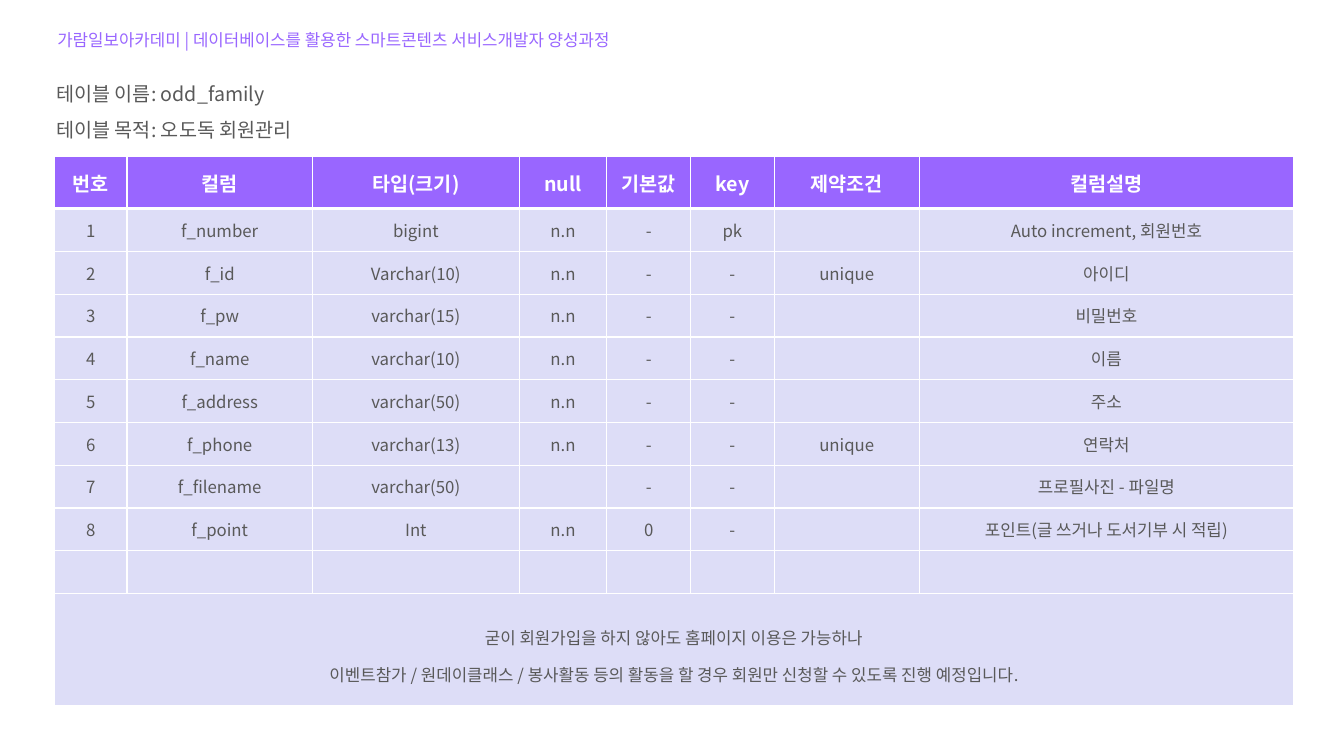
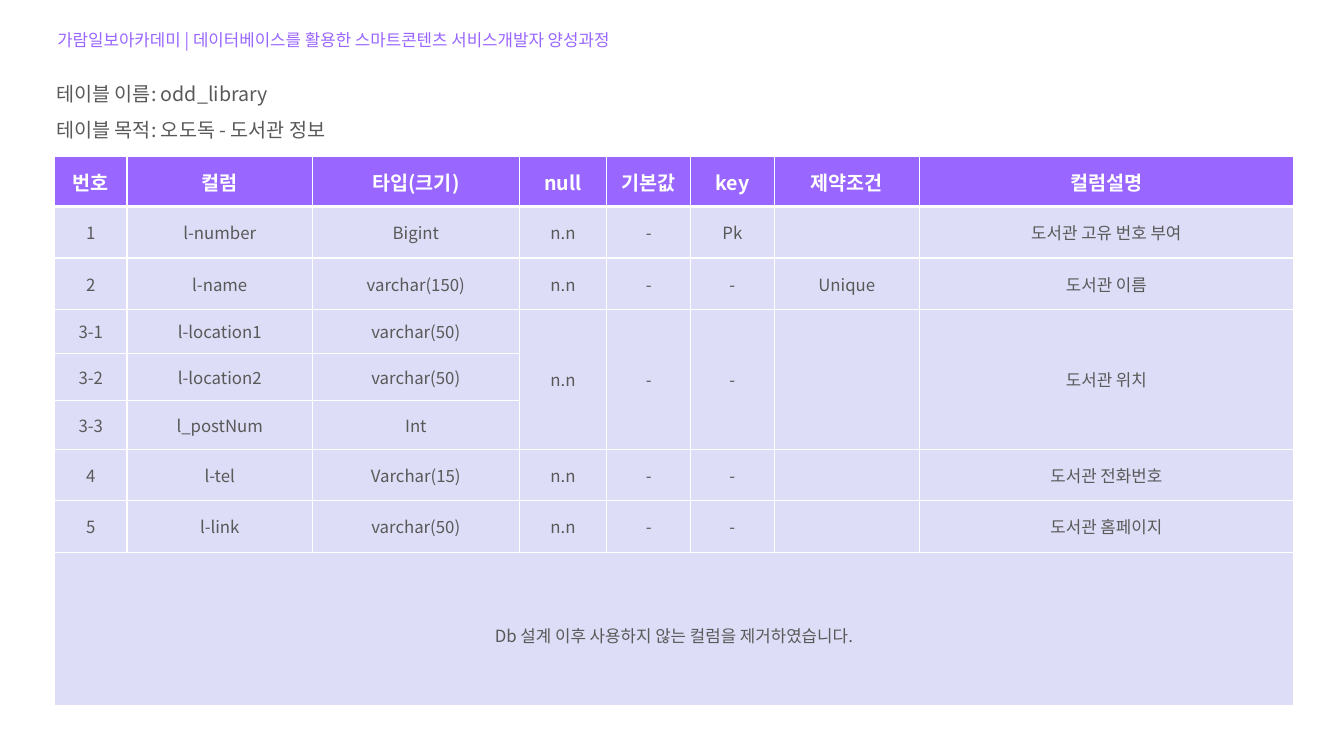
import pptx
import pptx.dml.color
import pptx.enum.text
import pptx.oxml.ns
import pptx.util
from lxml import etree

Inches = pptx.util.Inches
Pt = pptx.util.Pt
qn = pptx.oxml.ns.qn
ALIGN = pptx.enum.text.PP_ALIGN

COLORS = {"purple": "9966FF", "lavender": "DDDDF7", "text": "595959", "white": "FFFFFF"}
FONT = "Noto Sans CJK KR"

# Shared content and grid
COURSE = "가람일보아카데미 | 데이터베이스를 활용한 스마트콘텐츠 서비스개발자 양성과정"
HEADINGS = ["번호", "컬럼", "타입(크기)", "null", "기본값", "key", "제약조건", "컬럼설명"]
COLUMN_WIDTHS = [0.72, 1.84, 2.05, 0.87, 0.83, 0.83, 1.44, 3.71]
TABLE_LEFT, TABLE_TOP, TABLE_HEIGHT = 0.54, 1.55, 5.45


class Deck:
    """Holds the presentation, its style and the current slide."""

    def __init__(self):
        self.presentation = pptx.Presentation()
        self.presentation.slide_width = Inches(13.33)
        self.presentation.slide_height = Inches(7.5)
        self.slide = None

    def color(self, name):
        return pptx.dml.color.RGBColor.from_string(COLORS[name])

    def add_slide(self, name, purpose):
        self.slide = self.presentation.slides.add_slide(self.presentation.slide_layouts[6])
        self.add_text(0.47, 0.15, 0.35, COURSE, 12, "purple")
        self.add_text(0.46, 0.65, 0.75, f"테이블 이름: {name}\n테이블 목적: {purpose}", 14, "text")

    def format_text(self, text_frame, size, color, bold=False, spacing=1.0, align=ALIGN.LEFT):
        for paragraph in text_frame.paragraphs:
            paragraph.alignment = align
            paragraph.line_spacing = spacing
            for run in paragraph.runs:
                run.font.name = FONT
                run.font.size = Pt(size)
                run.font.bold = bold
                run.font.color.rgb = self.color(color)
                latin = run.font._element.find(qn("a:latin"))
                latin.addnext(etree.Element(qn("a:ea"), typeface=FONT))
            if not paragraph.runs:
                # An empty cell keeps the row height of its text size
                etree.SubElement(paragraph._p, qn("a:endParaRPr"), sz=str(size * 100))

    def add_text(self, left, top, height, text, size, color):
        box = self.slide.shapes.add_textbox(Inches(left), Inches(top), Inches(11.6), Inches(height))
        text_frame = box.text_frame
        text_frame.word_wrap = True
        text_frame.auto_size = pptx.enum.text.MSO_AUTO_SIZE.SHAPE_TO_FIT_TEXT
        text_frame.text = text
        self.format_text(text_frame, size, color, spacing=1.5)

    def add_borders(self, cell, top=1, bottom=1):
        properties = cell._tc.get_or_add_tcPr()
        for side, width in zip("LRTB", (1, 1, top, bottom)):
            line = etree.SubElement(properties, qn(f"a:ln{side}"), w=str(Pt(width)))
            fill = etree.SubElement(line, qn("a:solidFill"))
            etree.SubElement(fill, qn("a:srgbClr"), val=COLORS["white"])

    def add_table(self, rows, heights, note, merged_rows=None):
        """Draws the headings, the rows and a note across the full width."""
        content = [HEADINGS, *rows, [note] + [""] * (len(HEADINGS) - 1)]
        last = len(content) - 1
        frame = self.slide.shapes.add_table(
            len(content), len(HEADINGS), Inches(TABLE_LEFT), Inches(TABLE_TOP),
            Inches(sum(COLUMN_WIDTHS)), Inches(TABLE_HEIGHT))
        table = frame.table
        table.first_row = False
        table.horz_banding = False
        for column, width in zip(table.columns, COLUMN_WIDTHS):
            column.width = Inches(width)
        for row, height in zip(table.rows, heights):
            row.height = Inches(height)

        for row_index, values in enumerate(content):
            heading = row_index == 0
            for column_index, value in enumerate(values):
                cell = table.cell(row_index, column_index)
                self.add_borders(cell, top=3 if row_index == 1 else 1, bottom=3 if heading else 1)
                cell.fill.solid()
                cell.fill.fore_color.rgb = self.color("purple" if heading else "lavender")
                cell.vertical_anchor = pptx.enum.text.MSO_ANCHOR.MIDDLE
                cell.text_frame.text = value
                self.format_text(
                    cell.text_frame, 14 if heading else 12, "white" if heading else "text",
                    bold=heading, spacing=1.5 if row_index == last else 1.0, align=ALIGN.CENTER)

        # Merged cells
        table.cell(last, 0).merge(table.cell(last, len(HEADINGS) - 1))
        if merged_rows:
            first, final = merged_rows
            for column_index in range(3, len(HEADINGS)):
                table.cell(first, column_index).merge(table.cell(final, column_index))


deck = Deck()

# Member table
deck.add_slide("odd_family", "오도독 회원관리")
member_rows = [
    ["1", "f_number", "bigint", "n.n", "-", "pk", "", "Auto increment, 회원번호"],
    ["2", "f_id", "Varchar(10)", "n.n", "-", "-", "unique", "아이디"],
    ["3", "f_pw", "varchar(15)", "n.n", "-", "-", "", "비밀번호"],
    ["4", "f_name", "varchar(10)", "n.n", "-", "-", "", "이름"],
    ["5", "f_address", "varchar(50)", "n.n", "-", "-", "", "주소"],
    ["6", "f_phone", "varchar(13)", "n.n", "-", "-", "unique", "연락처"],
    ["7", "f_filename", "varchar(50)", "", "-", "-", "", "프로필사진 - 파일명"],
    ["8", "f_point", "Int", "n.n", "0", "-", "", "포인트(글 쓰거나 도서기부 시 적립)"],
    [""] * len(HEADINGS),
]
heading_height, note_height = 0.52, 1.11
row_height = (TABLE_HEIGHT - heading_height - note_height) / len(member_rows)
deck.add_table(
    member_rows,
    [heading_height] + [row_height] * len(member_rows) + [note_height],
    "굳이 회원가입을 하지 않아도 홈페이지 이용은 가능하나\n"
    "이벤트참가 / 원데이클래스 / 봉사활동 등의 활동을 할 경우 회원만 신청할 수 있도록 진행 예정입니다.")

# Library table
deck.add_slide("odd_library", "오도독 - 도서관 정보")
library_rows = [
    ["1", "l-number", "Bigint", "n.n", "-", "Pk", "", "도서관 고유 번호 부여"],
    ["2", "l-name", "varchar(150)", "n.n", "-", "-", "Unique", "도서관 이름"],
    ["3-1", "l-location1", "varchar(50)", "n.n", "-", "-", "", "도서관 위치"],
    ["3-2", "l-location2", "varchar(50)", "", "", "", "", ""],
    ["3-3", "l_postNum", "Int", "", "", "", "", ""],
    ["4", "l-tel", "Varchar(15)", "n.n", "-", "-", "", "도서관 전화번호"],
    ["5", "l-link", "varchar(50)", "n.n", "-", "-", "", "도서관 홈페이지"],
]
deck.add_table(
    library_rows,
    [0.5, 0.51, 0.51, 0.44, 0.46, 0.49, 0.51, 0.51, 1.52],
    "Db 설계 이후 사용하지 않는 컬럼을 제거하였습니다.",
    merged_rows=(3, 5))

deck.presentation.save("out.pptx")
